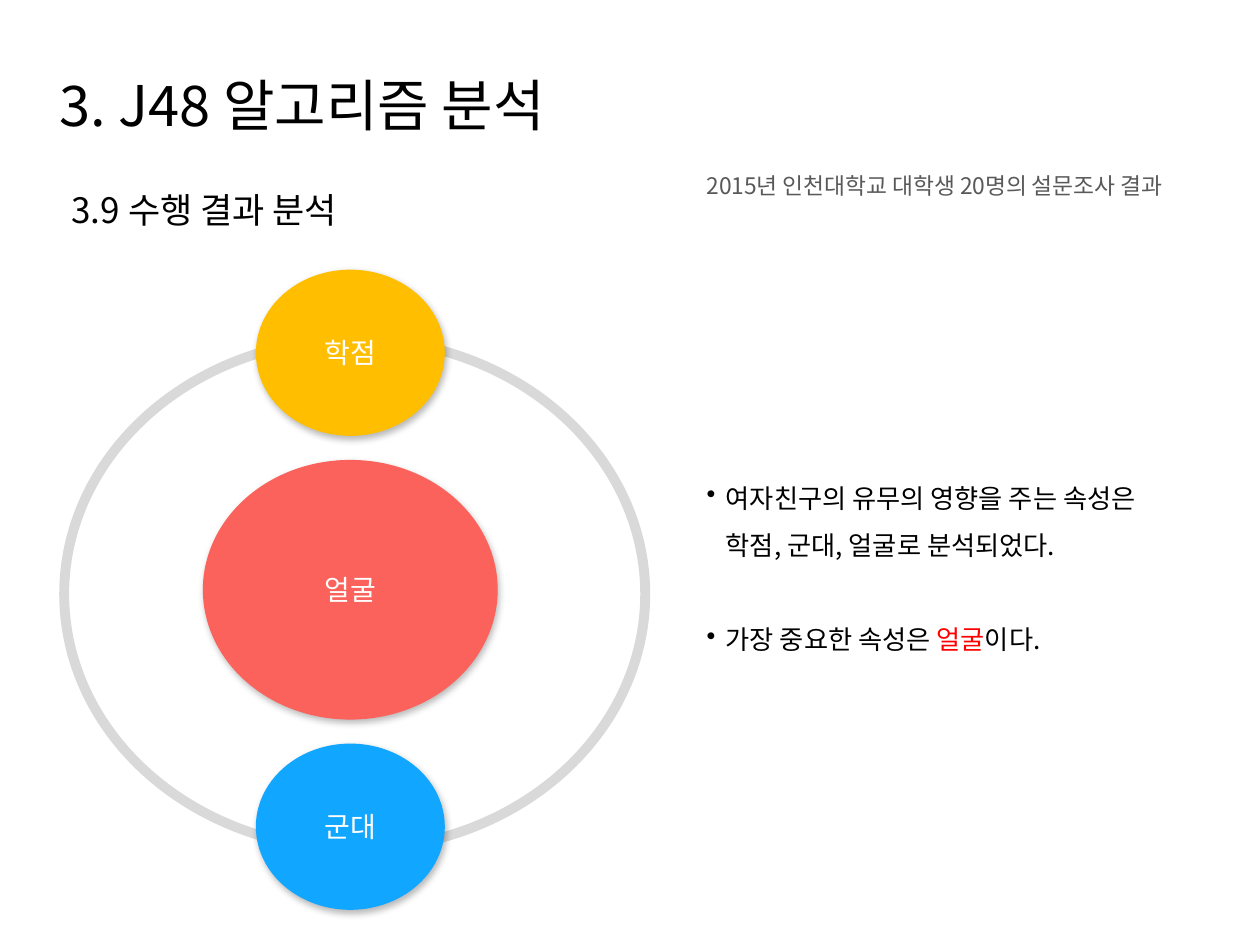
"""Build the slide on the results of the J48 analysis."""
from dataclasses import dataclass

from lxml import etree
from pptx import Presentation
from pptx.dml.color import RGBColor
from pptx.enum.shapes import MSO_SHAPE
from pptx.enum.text import MSO_ANCHOR, MSO_AUTO_SIZE, PP_ALIGN
from pptx.oxml.ns import qn
from pptx.util import Pt

OVAL = MSO_SHAPE.OVAL
DONUT = MSO_SHAPE.DONUT
MIDDLE = MSO_ANCHOR.MIDDLE
CENTER = PP_ALIGN.CENTER
GROW = MSO_AUTO_SIZE.SHAPE_TO_FIT_TEXT


@dataclass(frozen=True)
class Theme:
    """Hold the font, colours and type sizes."""
    font: str = "Noto Sans CJK KR"
    ink: str = "000000"
    muted: str = "595959"
    accent: str = "FF0000"
    light: str = "FFFFFF"
    ring: str = "D9D9D9"
    gold: str = "FFBF00"
    coral: str = "FB625C"
    blue: str = "11A6FF"
    title: int = 32
    head: int = 20
    label: int = 16
    body: int = 15
    note: int = 13


THEME = Theme()


def rgb(color):
    """Turn a hex string into a colour."""
    return RGBColor.from_string(color)


def style(para, size, color):
    """Set the Latin and East Asian font of a paragraph."""
    font = para.font
    font.size = Pt(size)
    font.color.rgb = rgb(color)
    font.name = THEME.font
    latin = font._element.find(qn("a:latin"))
    latin.addnext(latin.makeelement(qn("a:ea"), {"typeface": THEME.font}))


def add_box(slide, left, top, width, height, wrap=True):
    """Add an empty text box and return its frame."""
    box = slide.shapes.add_textbox(Pt(left), Pt(top), Pt(width), Pt(height))
    frame = box.text_frame
    frame.word_wrap = wrap
    if not wrap:
        frame.auto_size = GROW
    return frame


def add_line(slide, text, place, size, color, wrap=False):
    """Add a text box with one line of text."""
    frame = add_box(slide, *place, wrap=wrap)
    para = frame.paragraphs[0]
    para.text = text
    style(para, size, color)
    return frame


def add_shade(shape):
    """Give a shape a soft shadow below it."""
    shape.shadow.inherit = False
    effects = shape._element.spPr.find(qn("a:effectLst"))
    shade = etree.SubElement(
        effects, qn("a:outerShdw"), blurRad=str(Pt(4)), dist=str(Pt(2)),
        dir=str(70 * 60000), algn="ctr", rotWithShape="0")
    color = etree.SubElement(shade, qn("a:srgbClr"), val=THEME.ink)
    etree.SubElement(color, qn("a:alpha"), val="28000")


def add_form(group, kind, mid, size, color):
    """Add a filled shape around a middle point."""
    (x, y), (width, height) = mid, size
    shape = group.shapes.add_shape(
        kind, Pt(x - width / 2), Pt(y - height / 2), Pt(width), Pt(height))
    shape.shadow.inherit = False
    shape.fill.solid()
    shape.fill.fore_color.rgb = rgb(color)
    shape.line.fill.background()
    return shape


def add_disc(group, text, mid, size, color):
    """Add a labelled disc with a shadow."""
    disc = add_form(group, OVAL, mid, size, color)
    add_shade(disc)
    frame = disc.text_frame
    frame.word_wrap = False
    frame.vertical_anchor = MIDDLE
    frame.margin_left = frame.margin_right = Pt(6)
    frame.margin_top = frame.margin_bottom = Pt(6)
    para = frame.paragraphs[0]
    para.text = text
    para.alignment = CENTER
    style(para, THEME.label, THEME.light)


def add_wheel(slide):
    """Add the ring and the three discs on its axis."""
    group = slide.shapes.add_group_shape()
    ring = add_form(group, DONUT, (202.7, 339.5), (337.7, 297.4), THEME.ring)
    ring.adjustments[0] = 0.019
    x, y, step = 200.2, 337, 135.4
    small, large = (108, 95), (168.5, 148.4)
    add_disc(group, "학점", (x, y - step), small, THEME.gold)
    add_disc(group, "군대", (x, y + step), small, THEME.blue)
    add_disc(group, "얼굴", (x, y), large, THEME.coral)


def add_bullet(para, parts, gap=0):
    """Fill a bulleted paragraph with text and colour pairs."""
    props = para._p.get_or_add_pPr()
    props.set("marL", str(Pt(11)))
    props.set("indent", str(-Pt(11)))
    para.line_spacing = 1.5
    para.space_before = Pt(gap)
    etree.SubElement(props, qn("a:buChar"), char="•")
    style(para, THEME.body, THEME.ink)
    for text, color in parts:
        for i, piece in enumerate(text.split("\n")):
            if i:
                para.add_line_break()
            run = para.add_run()
            run.text = piece
            if color != THEME.ink:
                run.font.color.rgb = rgb(color)


def add_points(slide):
    """Add the two findings."""
    frame = add_box(slide, 396.7, 262.8, 292.3, 143.3)
    ink = THEME.ink
    add_bullet(frame.paragraphs[0], [
        ("여자친구의 유무의 영향을 주는 속성은\n학점, 군대, 얼굴로 분석되었다.", ink)])
    add_bullet(frame.add_paragraph(), [
        ("가장 중요한 속성은 ", ink), ("얼굴", THEME.accent), ("이다.", ink)], 27)


def main():
    """Build and save the slide."""
    deck = Presentation()
    deck.slide_width, deck.slide_height = Pt(720), Pt(540)
    slide = deck.slides.add_slide(deck.slide_layouts[6])
    title = add_line(slide, "3. J48 알고리즘 분석", (33.8, 36.7, 556.6, 47.5),
                     THEME.title, THEME.ink, wrap=True)
    title.margin_left = title.margin_right = 0
    add_line(slide, "2015년 인천대학교 대학생 20명의 설문조사 결과",
             (396.7, 94.3, 308.9, 23), THEME.note, THEME.muted)
    add_line(slide, "3.9 수행 결과 분석", (33.8, 104.4, 183.6, 31.7),
             THEME.head, THEME.ink)
    add_wheel(slide)
    add_points(slide)
    deck.save("out.pptx")


if __name__ == "__main__":
    main()
